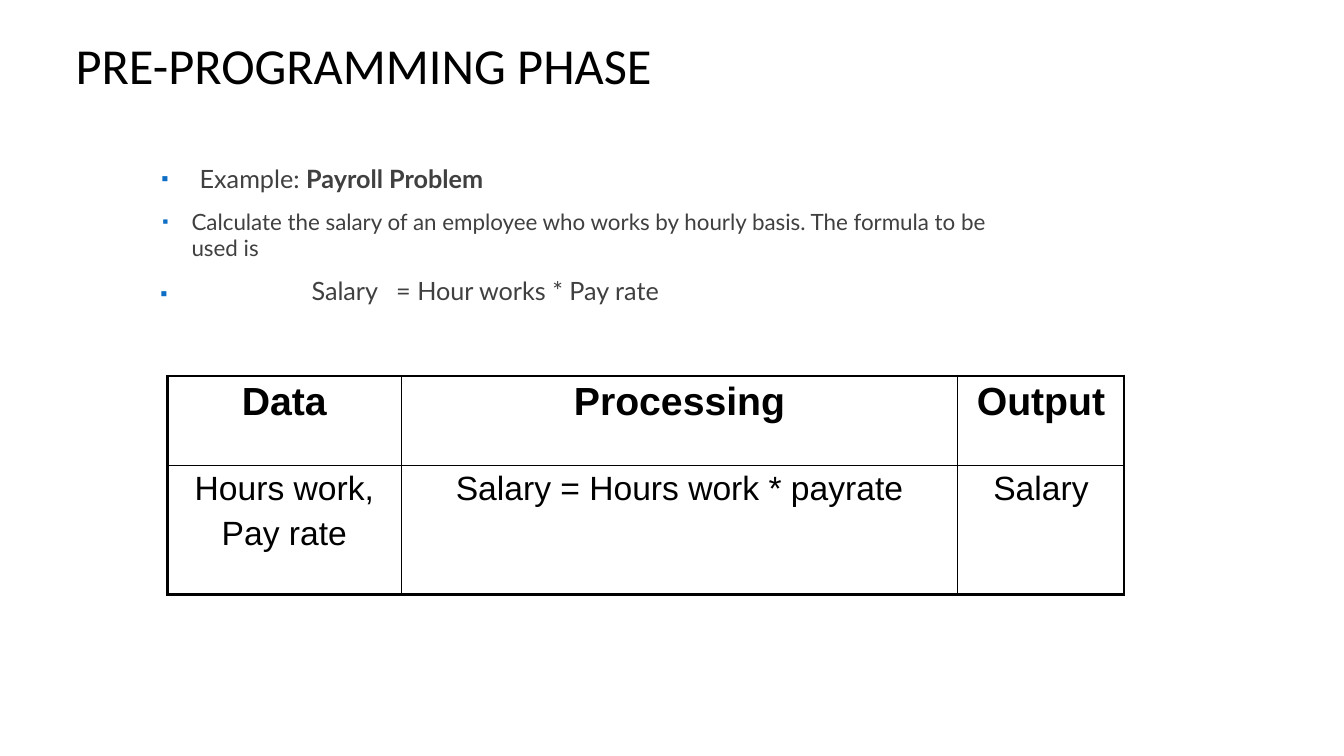
from dataclasses import dataclass

from lxml import etree
from pptx import Presentation
from pptx.dml.color import RGBColor
from pptx.enum.text import MSO_ANCHOR, PP_ALIGN
from pptx.oxml.ns import qn
from pptx.util import Emu, Pt

TOP, MIDDLE = MSO_ANCHOR.TOP, MSO_ANCHOR.MIDDLE
LEFT, CENTER = PP_ALIGN.LEFT, PP_ALIGN.CENTER
SCALE = 9144
BLACK, GRAY, BLUE = "000000", "404040", "0E6EC5"
THICK, THIN = 2.25, 1


@dataclass
class Para:
    runs: list[tuple[str, bool]]
    size: float
    face: str = "Lato"
    color: str = GRAY
    align: int = LEFT
    before: float = 0
    left: int = 0
    hang: int = 0
    mark: int = 0
    tab: int = 0


@dataclass
class Box:
    rect: tuple[int, int, int, int]
    paras: list[Para]
    inset: int = 1
    anchor: int = TOP
    wrap: bool = True


def px(num: int) -> Emu:
    """Turn px into EMU."""
    return Emu(num * SCALE)


def rgb(code: str) -> RGBColor:
    """Turn a hex string into a colour."""
    return RGBColor.from_string(code)


def assign(item, **values) -> None:
    """Set attributes from a dict of format values."""
    for key, value in values.items():
        setattr(item, key, value)


def add(parent, tag: str, **values):
    """Append a child element with its attributes."""
    node = etree.SubElement(parent, qn(tag))
    for key, value in values.items():
        node.set(key, str(value))
    return node


def write(frame, paras: list[Para]) -> None:
    """Fill a text frame with paragraphs."""
    for index, para in enumerate(paras):
        line = frame.add_paragraph() if index else frame.paragraphs[0]
        assign(line, alignment=para.align, space_before=Pt(para.before))
        props = line._p.get_or_add_pPr()
        if para.mark:
            props.set("marL", str(px(para.left)))
            props.set("indent", str(px(para.hang)))
            add(add(props, "a:buClr"), "a:srgbClr", val=BLUE)
            add(props, "a:buSzPct", val=para.mark * 1000)
            add(props, "a:buFont", typeface="Arial")
            add(props, "a:buChar", char="▪")
        if para.tab:
            add(add(props, "a:tabLst"), "a:tab", pos=px(para.tab), algn="l")
        for text, bold in para.runs:
            run = line.add_run()
            run.text = text
            assign(run.font, name=para.face, size=Pt(para.size), bold=bold)
            run.font.color.rgb = rgb(para.color)


def place(slide, box: Box) -> None:
    """Add a text box."""
    frame = slide.shapes.add_textbox(*map(px, box.rect)).text_frame
    assign(frame, word_wrap=box.wrap, vertical_anchor=box.anchor,
           margin_left=0, margin_right=0, margin_top=px(box.inset),
           margin_bottom=0)
    write(frame, box.paras)


def border(cell, widths: dict[str, float]) -> None:
    """Draw the four borders of a cell."""
    props = cell._tc.get_or_add_tcPr()
    for index, (side, width) in enumerate(widths.items()):
        line = add(props, f"a:ln{side}", w=Pt(width))
        add(add(line, "a:solidFill"), "a:srgbClr", val=BLACK)
        props.insert(index, line)


def entry(text: str, head: bool, before: float = 0) -> Para:
    """Make a centred paragraph for a table cell."""
    return Para([(text, head)], 28 if head else 24, "Arial", BLACK, CENTER,
                before)


def grid(slide, rows: list[list[list[str]]], cols: list[int],
         highs: list[int]) -> None:
    """Add the table with a thick outer frame."""
    table = slide.shapes.add_table(
        len(rows), len(cols), px(166), px(373), px(sum(cols)),
        px(sum(highs))).table
    assign(table, first_row=False, horz_banding=False)
    for col, wide in zip(table.columns, cols):
        col.width = px(wide)
    for row, (texts, high) in enumerate(zip(rows, highs)):
        table.rows[row].height = px(high)
        for col, lines in enumerate(texts):
            cell = table.cell(row, col)
            assign(cell, margin_left=0, margin_right=0, margin_top=px(4),
                   margin_bottom=0, vertical_anchor=TOP)
            cell.fill.background()
            edges = {"L": col == 0, "R": col == len(cols) - 1,
                     "T": row == 0, "B": row == len(rows) - 1}
            border(cell, {side: THICK if outer else THIN
                          for side, outer in edges.items()})
            write(cell.text_frame,
                  [entry(text, row == 0, 5.8 if index else 0)
                   for index, text in enumerate(lines)])


BOXES = [
    Box((75, 32, 620, 63),
        [Para([("PRE-PROGRAMMING PHASE", False)], 36, "Calibri", BLACK)],
        anchor=MIDDLE, wrap=False),
    Box((159, 145, 855, 116), [
        Para([("Example: ", False), ("Payroll Problem", True)], 18,
             left=39, hang=-38, mark=81, tab=39),
        Para([("Calculate the salary of an employee who works by hourly "
               "basis. The formula to be used is", False)], 16,
             before=10.1, left=31, hang=-29, mark=78, tab=33)], inset=17),
    Box((159, 277, 12, 27), [Para([("▪", False)], 14.5, "Arial", BLUE)],
        wrap=False),
    Box((309, 272, 347, 33),
        [Para([("Salary\t= Hour works * Pay rate", False)], 18, tab=84)],
        wrap=False),
]
ROWS = [
    [["Data"], ["Processing"], ["Output"]],
    [["Hours work,", "Pay rate"], ["Salary = Hours work * payrate"],
     ["Salary"]],
]


def main() -> None:
    """Build and save the slide."""
    deck = Presentation()
    assign(deck, slide_width=px(1333), slide_height=px(750))
    slide = deck.slides.add_slide(deck.slide_layouts[6])
    for box in BOXES:
        place(slide, box)
    grid(slide, ROWS, [232, 552, 165], [89, 128])
    deck.save("out.pptx")


if __name__ == "__main__":
    main()
